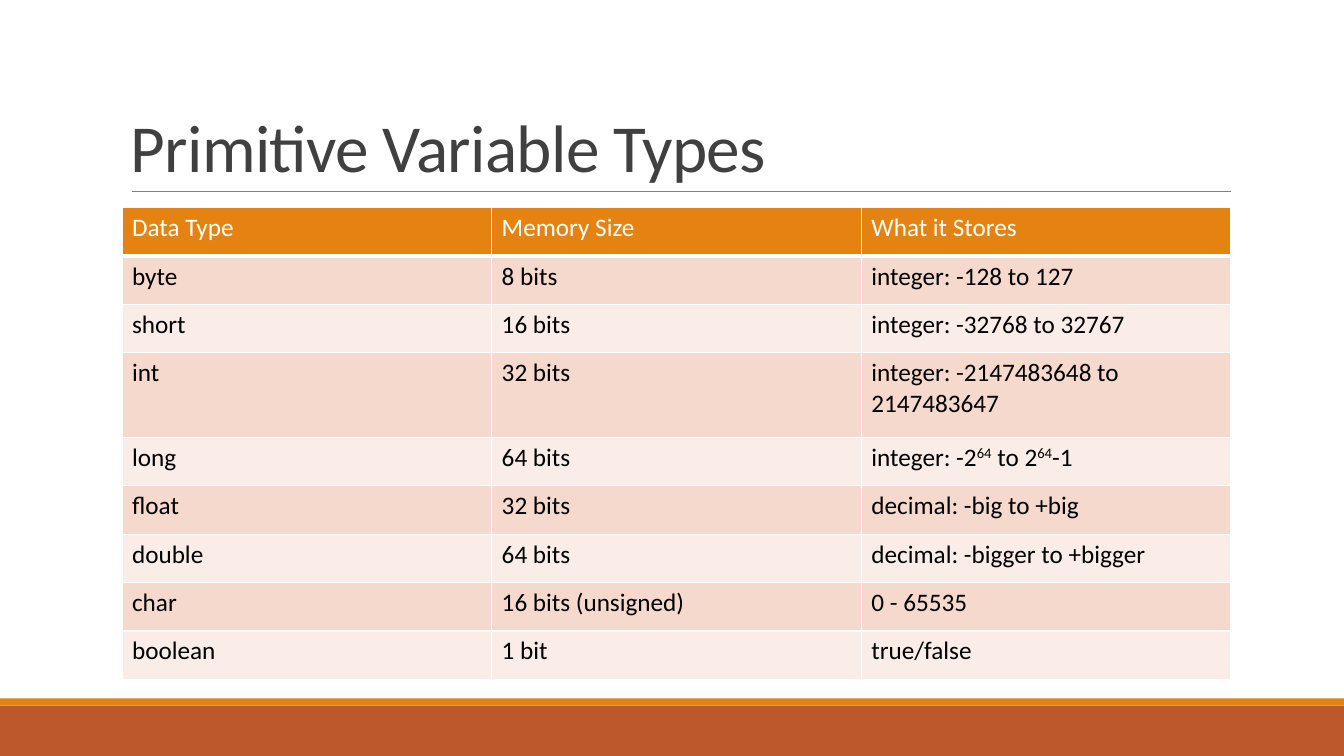
from dataclasses import dataclass

from lxml.etree import SubElement
from pptx import Presentation
from pptx.dml.color import RGBColor
from pptx.enum.shapes import MSO_CONNECTOR as Link, MSO_SHAPE as Shape
from pptx.enum.text import MSO_ANCHOR as Anchor
from pptx.oxml.ns import qn
from pptx.util import Inches, Pt

WHITE = RGBColor(0xFF, 0xFF, 0xFF)
BLACK = RGBColor(0, 0, 0)
DARK = RGBColor(0x40, 0x40, 0x40)
GRAY = RGBColor(0x80, 0x80, 0x80)
RUST = RGBColor(0xBD, 0x58, 0x2C)
ORANGE = RGBColor(0xE4, 0x83, 0x12)
PEACH = RGBColor(0xF5, 0xD9, 0xCC)
PALE = RGBColor(0xFA, 0xED, 0xE7)
FONT = "Calibri"
WIDTH = 13.33


@dataclass
class Band:
    """A full-width strip at the foot of the slide."""
    top: float
    height: float
    color: RGBColor


@dataclass
class Row:
    """One table row; text between carets is superscript."""
    kind: str
    size: str
    store: str
    height: float = 0.48


BANDS = [Band(7, 0.5, RUST), Band(6.93, 0.07, ORANGE)]
ROWS = [
    Row("Data Type", "Memory Size", "What it Stores"),
    Row("byte", "8 bits", "integer: -128 to 127"),
    Row("short", "16 bits", "integer: -32768 to 32767"),
    Row("int", "32 bits", "integer: -2147483648 to 2147483647", 0.84),
    Row("long", "64 bits", "integer: -2^64^ to 2^64^-1"),
    Row("float", "32 bits", "decimal: -big to +big"),
    Row("double", "64 bits", "decimal: -bigger to +bigger"),
    Row("char", "16 bits (unsigned)", "0 - 65535"),
    Row("boolean", "1 bit", "true/false"),
]


def add_band(slide, band: Band) -> None:
    """Draw a plain strip across the slide."""
    strip = slide.shapes.add_shape(
        Shape.RECTANGLE, 0, Inches(band.top), Inches(WIDTH), Inches(band.height))
    strip.shadow.inherit = False
    strip.fill.solid()
    strip.fill.fore_color.rgb = band.color
    strip.line.fill.background()


def add_rule(slide) -> None:
    """Draw the thin line under the title."""
    rule = slide.shapes.add_connector(
        Link.STRAIGHT, Inches(1.31), Inches(1.9), Inches(12.21), Inches(1.9))
    rule.line.color.rgb = GRAY
    rule.line.width = Pt(0.5)
    SubElement(rule._element.spPr, qn("a:effectLst"))


def add_title(slide, text: str) -> None:
    """Write the title, resting on the rule."""
    box = slide.shapes.add_textbox(
        Inches(1.2), Inches(0.31), Inches(11), Inches(1.59))
    frame = box.text_frame
    frame.word_wrap = True
    frame.vertical_anchor = Anchor.BOTTOM
    para = frame.paragraphs[0]
    para.line_spacing = 0.85
    run = para.add_run()
    run.text = text
    para.font.name = FONT
    para.font.size = Pt(48)
    para.font.color.rgb = DARK
    run._r.get_or_add_rPr().set("spc", "-50")


def add_edges(cell, head: bool) -> None:
    """Give a cell white borders, with a thicker one below the header."""
    props = cell._tc.get_or_add_tcPr()
    for spot, side in enumerate("LRTB"):
        width = Pt(3 if head and side == "B" else 1)
        edge = props.makeelement(qn(f"a:ln{side}"), {"w": str(width)})
        fill = SubElement(edge, qn("a:solidFill"))
        SubElement(fill, qn("a:srgbClr"), val=str(WHITE))
        props.insert(spot, edge)


def fill_cell(cell, text: str, head: bool, back: RGBColor) -> None:
    """Write a cell's text and set its colours and borders."""
    para = cell.text_frame.paragraphs[0]
    for spot, part in enumerate(text.split("^")):
        run = para.add_run()
        run.text = part
        if spot % 2:
            run._r.get_or_add_rPr().set("baseline", "30000")
    para.font.name = FONT
    para.font.size = Pt(18)
    para.font.bold = False
    para.font.color.rgb = WHITE if head else BLACK
    cell.fill.solid()
    cell.fill.fore_color.rgb = back
    add_edges(cell, head)


def add_types(slide, rows: list[Row]) -> None:
    """Build the table of types, with alternating row colours."""
    high = sum(row.height for row in rows)
    table = slide.shapes.add_table(
        len(rows), 3, Inches(1.21), Inches(2.06), Inches(11), Inches(high)).table
    for col in table.columns:
        col.width = Inches(11 / 3)
    for r, row in enumerate(rows):
        table.rows[r].height = Inches(row.height)
        back = ORANGE if r == 0 else PEACH if r % 2 else PALE
        for c, text in enumerate((row.kind, row.size, row.store)):
            fill_cell(table.cell(r, c), text, r == 0, back)


def main() -> None:
    """Build and save the slide."""
    deck = Presentation()
    deck.slide_width, deck.slide_height = Inches(WIDTH), Inches(7.5)
    slide = deck.slides.add_slide(deck.slide_layouts[6])
    for band in BANDS:
        add_band(slide, band)
    add_rule(slide)
    add_title(slide, "Primitive Variable Types")
    add_types(slide, ROWS)
    deck.save("out.pptx")


main()
